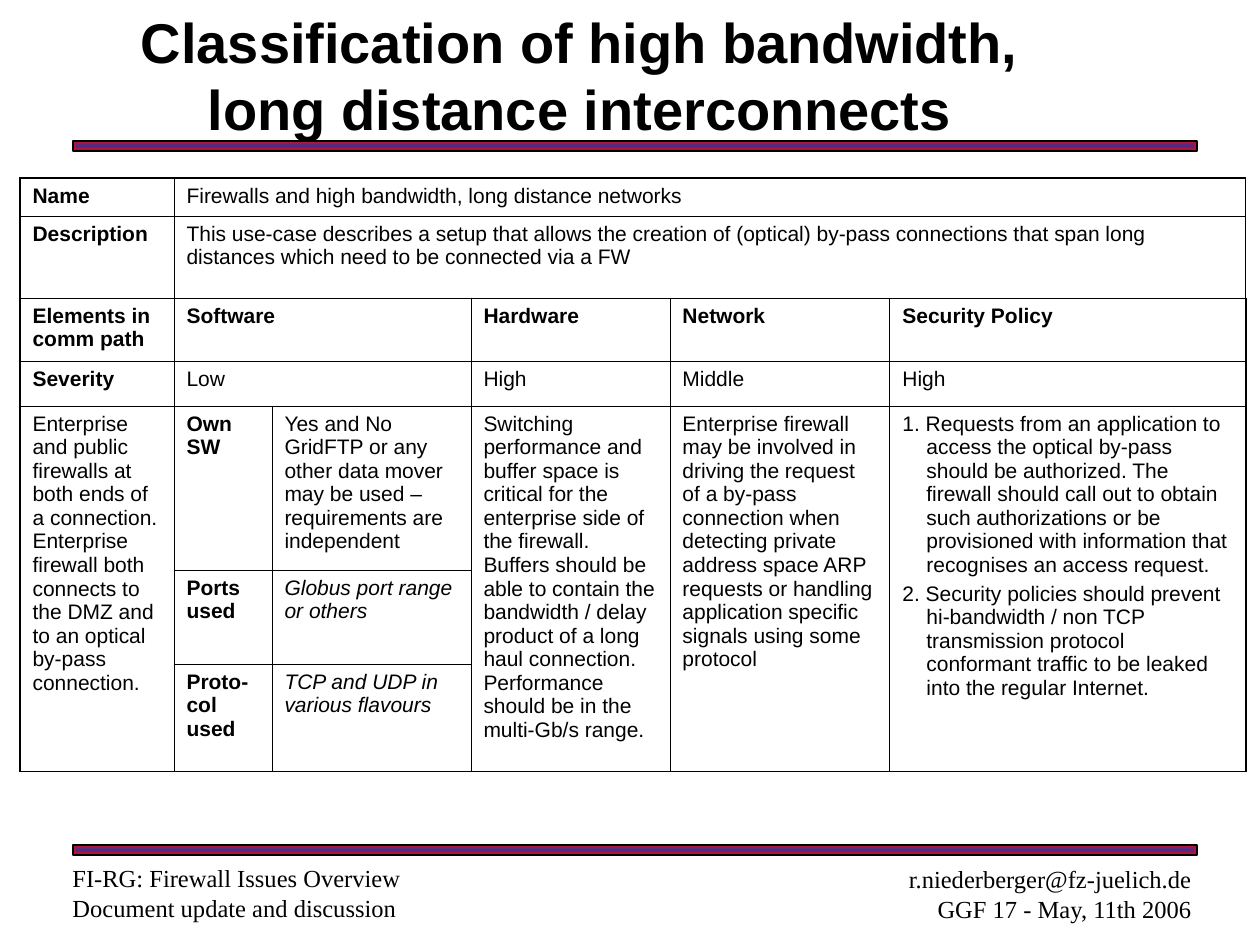
"""Build the slide on high bandwidth, long distance interconnects."""
from lxml import etree
from pptx import Presentation
from pptx.dml.color import RGBColor
from pptx.enum.shapes import MSO_SHAPE as Shape
from pptx.enum.text import MSO_ANCHOR as Anchor, PP_ALIGN as Align
from pptx.oxml import parse_xml
from pptx.oxml.ns import nsdecls, qn
from pptx.util import Emu, Pt

BLACK = RGBColor(0x00, 0x00, 0x00)
BLUE = RGBColor(0x33, 0x33, 0x99)
RED = RGBColor(0xFF, 0x00, 0x00)
INNER_LINE = Pt(0.45)
OUTER_LINE = Pt(1.08)


def px(count):
    return Emu(round(count * 914400 / 126))


def write(frame, lines, size, font, align=Align.LEFT, bold=False, italic=False):
    frame.word_wrap = True
    for number, line in enumerate(lines):
        para = frame.paragraphs[0] if number == 0 else frame.add_paragraph()
        para.text = line
        para.alignment = align
        para.font.size = Pt(size)
        para.font.name = font
        para.font.bold = bold
        para.font.italic = italic
        para.font.color.rgb = BLACK


deck = Presentation()
deck.slide_width, deck.slide_height = px(1260), px(945)
page = deck.slides.add_slide(deck.slide_layouts[6])

for top in (845, 141):
    bar = page.shapes.add_shape(Shape.RECTANGLE, px(73), px(top), px(1124), px(10))
    bar.shadow.inherit = False
    bar.line.color.rgb = BLACK
    bar.line.width = Pt(0.75)
    bar.fill.gradient()
    for stop, color in zip(bar.fill.gradient_stops, (BLUE, RED)):
        stop.color.rgb = color
    gradient = bar.fill._xPr.find(qn("a:gradFill"))
    gradient.replace(gradient.find(qn("a:lin")), parse_xml(
        f'<a:path {nsdecls("a")} path="rect">'
        '<a:fillToRect l="50000" t="50000" r="50000" b="50000"/></a:path>'))

footers = [
    (858, 858, 346, Align.RIGHT,
     ["r.niederberger@fz-juelich.de", "GGF 17 - May, 11th 2006"]),
    (60, 857, 525, Align.LEFT,
     ["FI-RG: Firewall Issues Overview", "Document update and discussion"]),
]
for left, top, width, align, lines in footers:
    box = page.shapes.add_textbox(px(left), px(top), px(width), px(72))
    write(box.text_frame, lines, 14, "Times New Roman", align)

title = page.shapes.add_textbox(px(66), px(-4), px(1028), px(157))
title.text_frame.vertical_anchor = Anchor.MIDDLE
write(title.text_frame, ["Classification of high bandwidth, long distance interconnects"],
      32, "Arial", Align.CENTER, bold=True)

widths = [154, 98, 199, 199, 220, 356]
heights = [38, 82, 63, 45, 164, 94, 106]
entries = [
    (0, 0, 1, 1, "bold", ["Name"]),
    (0, 1, 1, 5, "", ["Firewalls and high bandwidth, long distance networks"]),
    (1, 0, 1, 1, "bold", ["Description"]),
    (1, 1, 1, 5, "", ["This use-case describes a setup that allows the creation of (optical) "
                      "by-pass connections that span long distances which need to be "
                      "connected via a FW"]),
    (2, 0, 1, 1, "bold", ["Elements in comm path"]),
    (2, 1, 1, 2, "bold", ["Software"]),
    (2, 3, 1, 1, "bold", ["Hardware"]),
    (2, 4, 1, 1, "bold", ["Network"]),
    (2, 5, 1, 1, "bold", ["Security Policy"]),
    (3, 0, 1, 1, "bold", ["Severity"]),
    (3, 1, 1, 2, "", ["Low"]),
    (3, 3, 1, 1, "", ["High"]),
    (3, 4, 1, 1, "", ["Middle"]),
    (3, 5, 1, 1, "", ["High"]),
    (4, 0, 3, 1, "", ["Enterprise and public firewalls at both ends of a connection. "
                      "Enterprise firewall both connects to the DMZ and to an optical "
                      "by-pass connection."]),
    (4, 1, 1, 1, "bold", ["Own SW"]),
    (4, 2, 1, 1, "", ["Yes and No GridFTP or any other data mover may be used – "
                      "requirements are independent"]),
    (4, 3, 3, 1, "", ["Switching performance and buffer space is critical for the enterprise "
                      "side of the firewall. Buffers should be able to contain the bandwidth "
                      "/ delay product of a long haul connection. Performance should be in "
                      "the multi-Gb/s range."]),
    (4, 4, 3, 1, "", ["Enterprise firewall may be involved in driving the request of a "
                      "by-pass connection when detecting private address space ARP requests "
                      "or handling application specific signals using some protocol"]),
    (4, 5, 3, 1, "", ["1. Requests from an application to access the optical by-pass should "
                      "be authorized. The firewall should call out to obtain such "
                      "authorizations or be provisioned with information that recognises "
                      "an access request.",
                      "2. Security policies should prevent hi-bandwidth / non TCP "
                      "transmission protocol conformant traffic to be leaked into the "
                      "regular Internet."]),
    (5, 1, 1, 1, "bold", ["Ports used"]),
    (5, 2, 1, 1, "italic", ["Globus port range or others"]),
    (6, 1, 1, 1, "bold", ["Proto-col used"]),
    (6, 2, 1, 1, "italic", ["TCP and UDP in various flavours"]),
]
table = page.shapes.add_table(len(heights), len(widths), px(20), px(178),
                              px(sum(widths)), px(sum(heights))).table
table.first_row = table.horz_banding = False
for column, width in zip(table.columns, widths):
    column.width = px(width)
for row, height in zip(table.rows, heights):
    row.height = px(height)

for row, column, row_span, column_span, style, lines in entries:
    cell = table.cell(row, column)
    if row_span * column_span > 1:
        cell.merge(table.cell(row + row_span - 1, column + column_span - 1))
    write(cell.text_frame, lines, 12, "Arial", bold=style == "bold", italic=style == "italic")

policies = table.cell(4, 5).text_frame.paragraphs
policies[1].space_before = Pt(3)
for para in policies:
    properties = para._p.get_or_add_pPr()
    properties.set("marL", str(px(24)))
    properties.set("indent", str(-px(24)))

last_row, last_column = len(heights) - 1, len(widths) - 1
for row in range(len(heights)):
    for column in range(len(widths)):
        cell = table.cell(row, column)
        cell.fill.background()
        sides = [("lnL", column == 0), ("lnR", column == last_column),
                 ("lnT", row == 0), ("lnB", row == last_row)]
        for place, (side, outer) in enumerate(sides):
            border = etree.Element(qn(f"a:{side}"), w=str(OUTER_LINE if outer else INNER_LINE))
            fill = etree.SubElement(border, qn("a:solidFill"))
            etree.SubElement(fill, qn("a:srgbClr"), val=str(BLACK))
            cell._tc.get_or_add_tcPr().insert(place, border)

deck.save("out.pptx")
